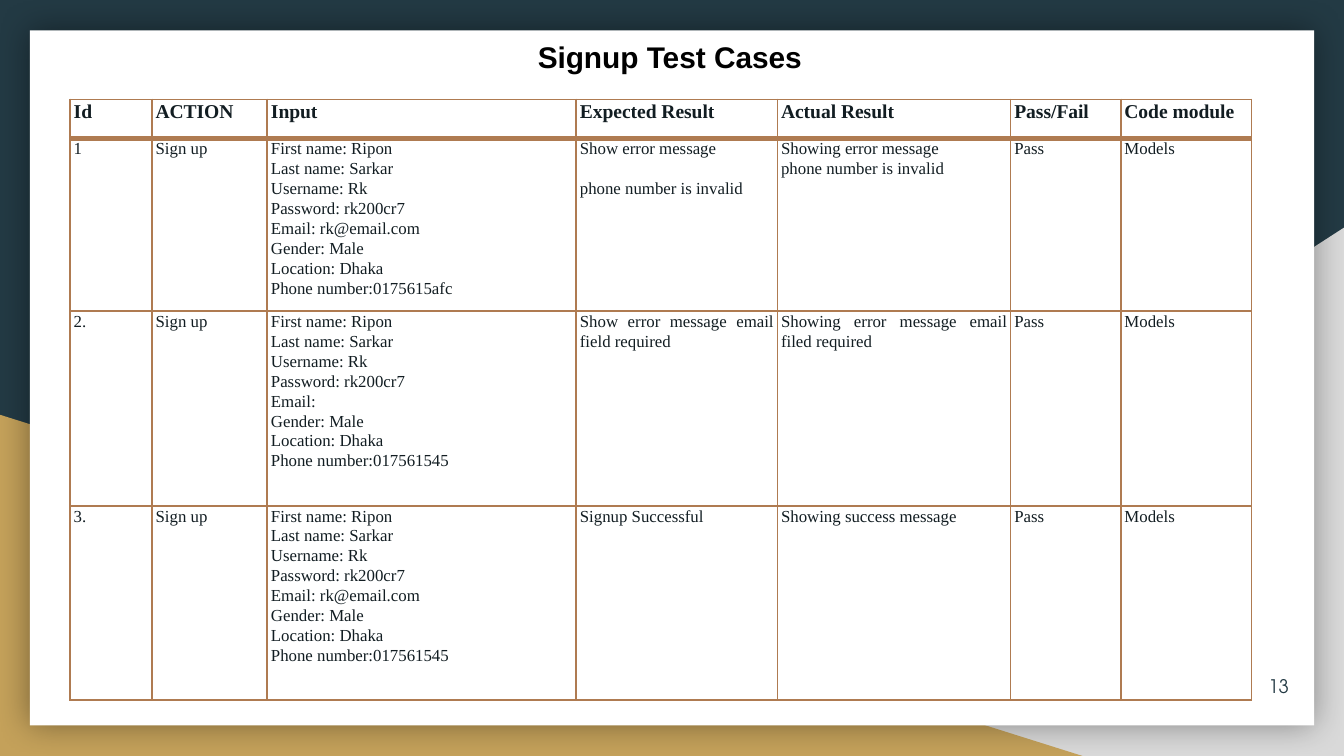
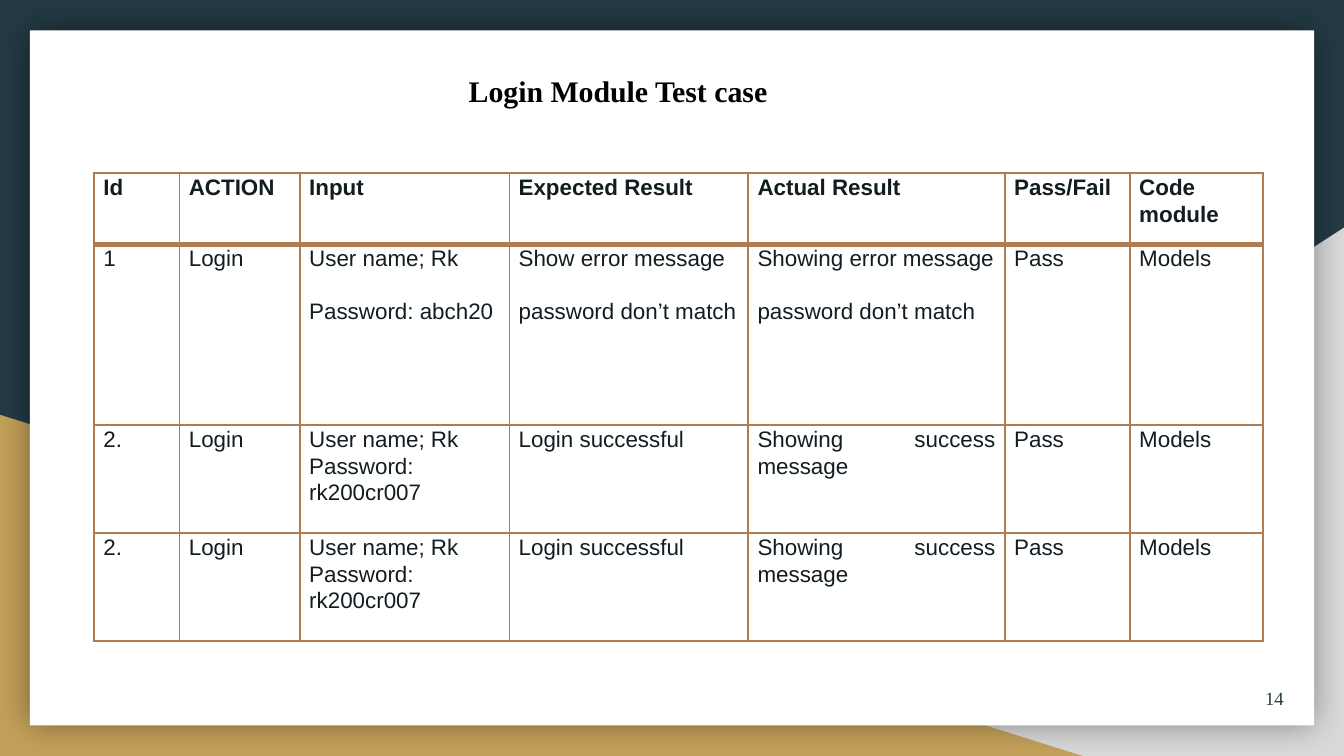
from lxml import etree
from pptx import Presentation
from pptx.dml.color import RGBColor
from pptx.enum import shapes, text
from pptx.oxml import ns
from pptx.util import Pt

COLORS = {
    "night": "233A44",
    "gold": "C4A15A",
    "grey": "D9D9D9",
    "paper": "FFFFFF",
    "ink": "121D22",
    "title": "000000",
    "border": "AF7B51",
}
SERIF = "Times New Roman"
SANS = "Arial"
NUMBER_SANS = "TeX Gyre Adventor"
LINE_SPACING = 1.07
BLANK_LINE = 1.19
HEADINGS = ("Id", "ACTION", "Input", "Expected Result", "Actual Result",
            "Pass/Fail", "Code module")


def rgb(name):
    return RGBColor.from_string(COLORS[name])


def add_xml(parent, tag, **attributes):
    return etree.SubElement(parent, ns.qn(tag), attributes)


def style_font(font, face, size, color, bold=False):
    font.name = face
    font.size = Pt(size)
    font.bold = bold
    font.color.rgb = rgb(color)


def add_panel(slide, kind, box, color):
    panel = slide.shapes.add_shape(kind, *map(Pt, box))
    panel.shadow.inherit = False
    panel.fill.solid()
    panel.fill.fore_color.rgb = rgb(color)
    panel.line.fill.background()
    return panel


def add_glow(panel):
    effects = panel.element.spPr.find(ns.qn("a:effectLst"))
    shadow = add_xml(effects, "a:outerShdw", blurRad=str(Pt(18)), dist="0",
                     dir="0", algn="ctr", rotWithShape="0")
    tone = add_xml(shadow, "a:srgbClr", val=COLORS["title"])
    add_xml(tone, "a:alpha", val="40000")


def add_backdrop(slide):
    slide.background.fill.solid()
    slide.background.fill.fore_color.rgb = rgb("night")
    triangle = shapes.MSO_SHAPE.RIGHT_TRIANGLE
    grey_corner = add_panel(slide, triangle, (282, 122, 438, 283), "grey")
    grey_corner.element.spPr.xfrm.set("flipH", "1")
    add_panel(slide, triangle, (0, 222.2, 580, 182.8), "gold")
    paper = add_panel(slide, shapes.MSO_SHAPE.RECTANGLE,
                      (16, 16.3, 688, 372.4), "paper")
    add_glow(paper)


def add_title(slide, words, box, face):
    frame = slide.shapes.add_textbox(*map(Pt, box)).text_frame
    frame.word_wrap = False
    frame.auto_size = text.MSO_AUTO_SIZE.SHAPE_TO_FIT_TEXT
    title = frame.paragraphs[0]
    title.text = words
    style_font(title.font, face, 16, "title", True)


def add_page_number(slide, number, box, face):
    frame = slide.shapes.add_textbox(*map(Pt, box)).text_frame
    frame.word_wrap = True
    frame.vertical_anchor = text.MSO_ANCHOR.MIDDLE
    frame.margin_left = frame.margin_right = Pt(7.2)
    frame.margin_top = frame.margin_bottom = Pt(7.2)
    page = frame.paragraphs[0]
    page.text = str(number)
    page.alignment = text.PP_ALIGN.RIGHT
    style_font(page.font, face, 10, "night")


def set_borders(cell, top, bottom):
    properties = cell._tc.get_or_add_tcPr()
    for side, width in (("L", 1), ("R", 1), ("T", top), ("B", bottom)):
        line = add_xml(properties, f"a:ln{side}", w=str(Pt(width)))
        fill = add_xml(line, "a:solidFill")
        add_xml(fill, "a:srgbClr", val=COLORS["border"])


def write_cell(cell, words, face, size, bold, inset):
    cell.margin_left = cell.margin_right = Pt(inset)
    cell.margin_top = cell.margin_bottom = 0
    frame = cell.text_frame
    for block_index, block in enumerate(words.split("\n\n")):
        for line_index, words_in_line in enumerate(block.split("\n")):
            is_first = block_index == line_index == 0
            line = frame.paragraphs[0] if is_first else frame.add_paragraph()
            line.text = words_in_line
            line.alignment = text.PP_ALIGN.JUSTIFY
            line.line_spacing = LINE_SPACING
            if block_index and not line_index:
                line.space_before = Pt(size * BLANK_LINE)
            style_font(line.font, face, size, "ink", bold)


def add_test_cases(slide, cases, origin, widths, heights, face, sizes, inset):
    rows = (HEADINGS, *cases)
    table = slide.shapes.add_table(
        len(rows), len(HEADINGS), *map(Pt, origin),
        Pt(sum(widths)), Pt(sum(heights))).table
    table.horz_banding = False
    for column, width in zip(table.columns, widths):
        column.width = Pt(width)
    for row_index, (row, height) in enumerate(zip(rows, heights)):
        table.rows[row_index].height = Pt(height)
        is_heading = row_index == 0
        for column_index, words in enumerate(row):
            cell = table.cell(row_index, column_index)
            set_borders(cell, 3 if row_index == 1 else 1, 3 if is_heading else 1)
            cell.fill.solid()
            cell.fill.fore_color.rgb = rgb("paper")
            write_cell(cell, words, face, sizes[0 if is_heading else 1],
                       is_heading, inset)


def signup_input(email, phone):
    return "\n".join((
        "First name: Ripon", "Last name: Sarkar", "Username: Rk",
        "Password: rk200cr7", f"Email: {email}".rstrip(), "Gender: Male",
        "Location: Dhaka", f"Phone number:{phone}"))


def add_signup_slide(slide):
    add_backdrop(slide)
    add_title(slide, "Signup Test Cases", (281, 17.3, 159, 26.6), SANS)
    add_page_number(slide, 13, (668, 352, 29.5, 31), NUMBER_SANS)
    email = "rk@email.com"
    cases = (
        ("1", "Sign up", signup_input(email, "0175615afc"),
         "Show error message\n\nphone number is invalid",
         "Showing error message\nphone number is invalid", "Pass", "Models"),
        ("2.", "Sign up", signup_input("", "017561545"),
         "Show error message email field required",
         "Showing error message email filed required", "Pass", "Models"),
        ("3.", "Sign up", signup_input(email, "017561545"),
         "Signup Successful", "Showing success message", "Pass", "Models"),
    )
    add_test_cases(slide, cases, (37.5, 53.2),
                   (43.9, 61.8, 165.5, 107.8, 125, 59, 70),
                   (21, 92.6, 104.2, 104.2), SERIF, (10.5, 9), 2)


def add_login_slide(slide):
    add_backdrop(slide)
    add_title(slide, "Login Module Test case", (244, 35.3, 178.6, 26.6), SERIF)
    add_page_number(slide, 14, (657.4, 358.6, 37.4, 31), SERIF)
    success = ("2.", "Login", "User name; Rk\nPassword: rk200cr007",
               "Login successful", "Showing success message", "Pass", "Models")
    cases = (
        ("1", "Login", "User name; Rk\n\nPassword: abch20",
         "Show error message\n\npassword don’t match",
         "Showing error message\n\npassword don’t match", "Pass", "Models"),
        success,
        success,
    )
    add_test_cases(slide, cases, (50.4, 92.8),
                   (45.8, 64.5, 112.2, 128, 137.5, 67, 71.3),
                   (38, 97, 57.9, 57.9), SANS, (12, 12), 5)


def main():
    deck = Presentation()
    deck.slide_width, deck.slide_height = Pt(720), Pt(405)
    blank = deck.slide_layouts[6]
    for fill_slide in (add_signup_slide, add_login_slide):
        fill_slide(deck.slides.add_slide(blank))
    deck.save("out.pptx")


if __name__ == "__main__":
    main()
